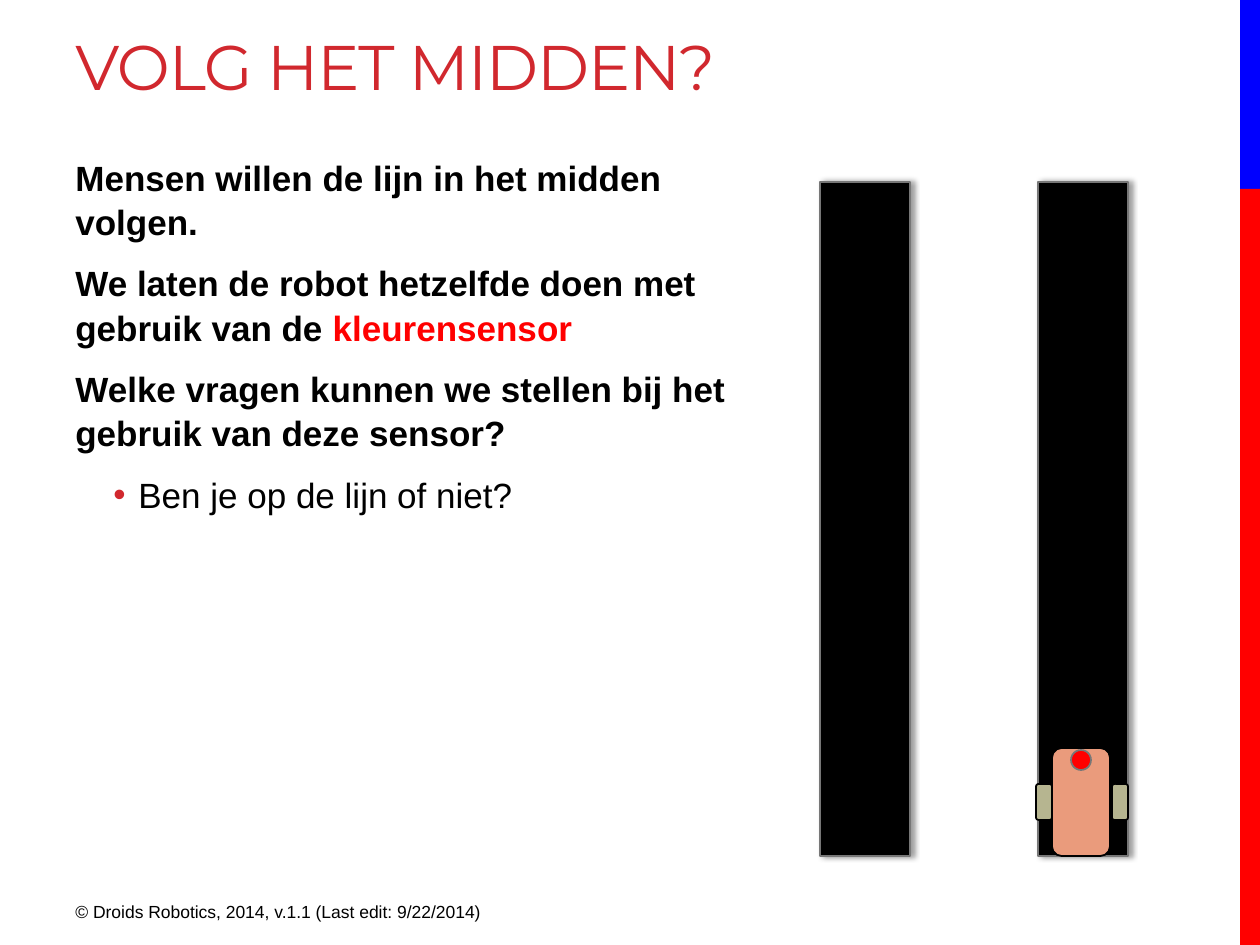
from dataclasses import dataclass

from lxml import etree
from pptx import Presentation
from pptx.dml.color import RGBColor
from pptx.enum.shapes import MSO_SHAPE
from pptx.oxml.ns import qn
from pptx.util import Emu, Pt

RECT, ROUND, OVAL = MSO_SHAPE.RECTANGLE, MSO_SHAPE.ROUNDED_RECTANGLE, MSO_SHAPE.OVAL


@dataclass(frozen=True)
class Theme:
    title: str = "D1282E"
    black: str = "000000"
    red: str = "FF0000"
    blue: str = "0000FF"
    grey: str = "777777"
    robot: str = "EA9B7C"
    wheel: str = "B6B590"
    title_font: str = "Montserrat"
    body_font: str = "Arial"
    title_size: int = 36
    body_size: int = 20
    footer_size: int = 10


@dataclass(frozen=True)
class Block:
    kind: MSO_SHAPE
    x: int
    y: int
    w: int
    h: int
    fill: str
    line: str | None = None
    shadow: bool = False


T = Theme()


def px(n: int) -> Emu:
    """Turn pixels (126 to the inch) into EMU."""
    return Emu(round(n * 914400 / 126))


def draw_block(shapes, b: Block) -> None:
    sp = shapes.add_shape(b.kind, px(b.x), px(b.y), px(b.w), px(b.h))
    sp.shadow.inherit = False
    sp.fill.solid()
    sp.fill.fore_color.rgb = RGBColor.from_string(b.fill)
    if b.line:
        sp.line.color.rgb = RGBColor.from_string(b.line)
        sp.line.width = Pt(1)
    else:
        sp.line.fill.background()
    if b.shadow:
        effects = sp._element.spPr.find(qn("a:effectLst"))
        outer = etree.SubElement(effects, qn("a:outerShdw"), blurRad=str(Pt(3.1)),
                                 dist=str(Pt(1.8)), dir="0", rotWithShape="0")
        color = etree.SubElement(outer, qn("a:srgbClr"), val=T.black)
        etree.SubElement(color, qn("a:alpha"), val="40000")


def add_box(s, x: int, y: int, w: int, h: int):
    tf = s.shapes.add_textbox(px(x), px(y), px(w), px(h)).text_frame
    tf.word_wrap = True
    return tf


def add_run(p, text: str, *, size: int = T.body_size, color: str = T.black,
            font: str = T.body_font, bold: bool = False, spacing: int = 0) -> None:
    r = p.add_run()
    r.text = text
    r.font.size = Pt(size)
    r.font.name = font
    r.font.bold = bold
    r.font.color.rgb = RGBColor.from_string(color)
    if spacing:
        r._r.get_or_add_rPr().set("spc", str(spacing))


def add_bullet(p) -> None:
    pPr = p._p.get_or_add_pPr()
    pPr.set("lvl", "1")
    pPr.set("marL", str(px(63)))
    pPr.set("indent", str(-px(25)))
    color = etree.SubElement(pPr, qn("a:buClr"))
    etree.SubElement(color, qn("a:srgbClr"), val=T.title)
    etree.SubElement(pPr, qn("a:buFont"), typeface=T.body_font)
    etree.SubElement(pPr, qn("a:buChar"), char="•")


def main() -> None:
    prs = Presentation()
    prs.slide_width, prs.slide_height = px(1260), px(945)
    s = prs.slides.add_slide(prs.slide_layouts[6])

    # Side bar
    draw_block(s.shapes, Block(RECT, 1240, 0, 20, 189, T.blue))
    draw_block(s.shapes, Block(RECT, 1240, 189, 20, 756, T.red))

    # Title
    tf = add_box(s, 63, 21, 1137, 189)
    add_run(tf.paragraphs[0], "VOLG HET MIDDEN?", size=T.title_size, color=T.title,
            font=T.title_font, spacing=-60)

    # Body: bold statements, then one bulleted question
    statements = [
        [("Mensen willen de lijn in het midden volgen.", T.black)],
        [("We laten de robot hetzelfde doen met gebruik van de ", T.black),
         ("kleurensensor", T.red)],
        [("Welke vragen kunnen we stellen bij het gebruik van deze sensor?", T.black)],
    ]
    tf = add_box(s, 63, 148, 717, 708)
    for i, runs in enumerate(statements):
        p = tf.add_paragraph() if i else tf.paragraphs[0]
        p.line_spacing = 1.05
        p.space_before = Pt(4 if i else 0)
        p.space_after = Pt(6)
        for text, color in runs:
            add_run(p, text, color=color, bold=True)
    p = tf.add_paragraph()
    p.line_spacing = 1.05
    p.space_before = Pt(4)
    add_bullet(p)
    add_run(p, "Ben je op de lijn of niet?")

    # Black lines to follow
    for x in (820, 1038):
        draw_block(s.shapes, Block(RECT, x, 182, 90, 674, T.black, T.grey, True))

    # Footer
    tf = add_box(s, 63, 895, 473, 39)
    add_run(tf.paragraphs[0], "© Droids Robotics, 2014, v.1.1 (Last edit: 9/22/2014)",
            size=T.footer_size)

    # Robot: body, two wheels and colour sensor
    robot = s.shapes.add_group_shape()
    for part in (
        Block(ROUND, 1052, 748, 58, 108, T.robot, T.black),
        Block(ROUND, 1112, 784, 16, 36, T.wheel, T.black),
        Block(ROUND, 1036, 784, 16, 36, T.wheel, T.black),
        Block(OVAL, 1071, 750, 20, 20, T.red, T.grey),
    ):
        draw_block(robot.shapes, part)

    prs.save("out.pptx")


if __name__ == "__main__":
    main()
